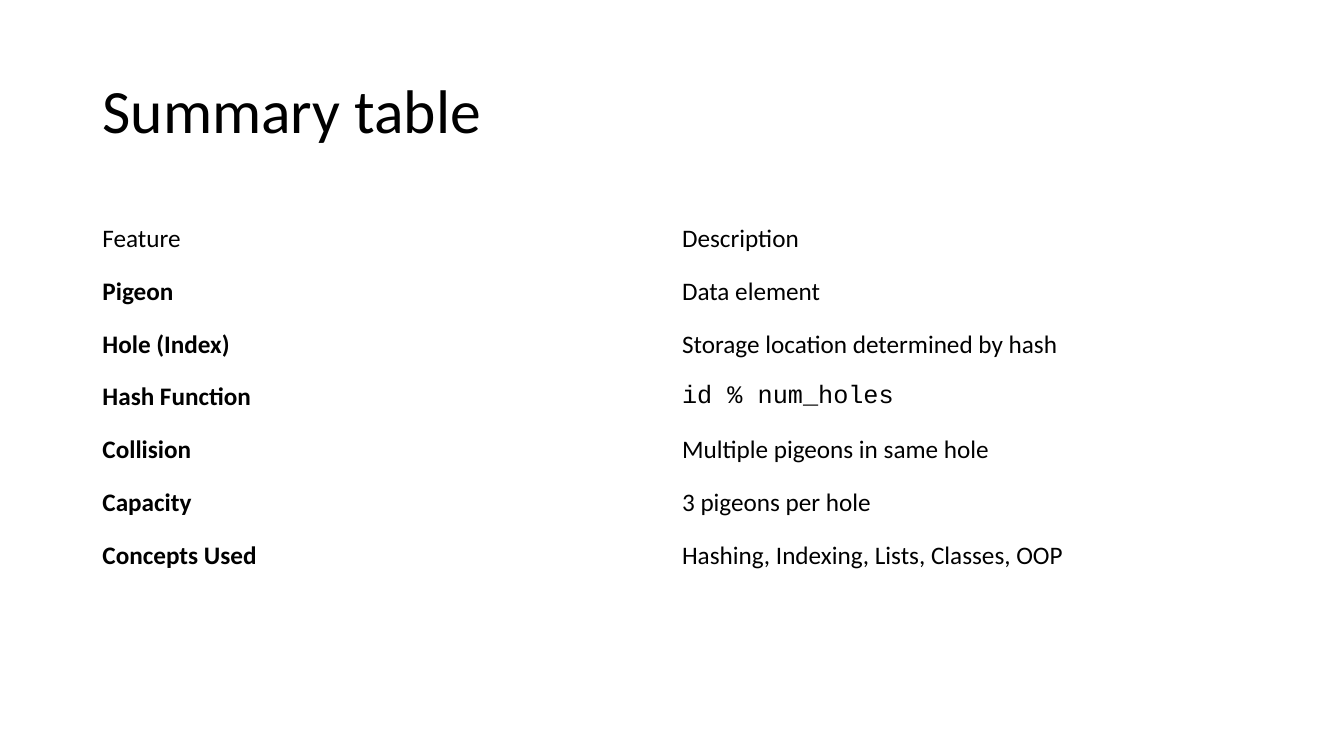
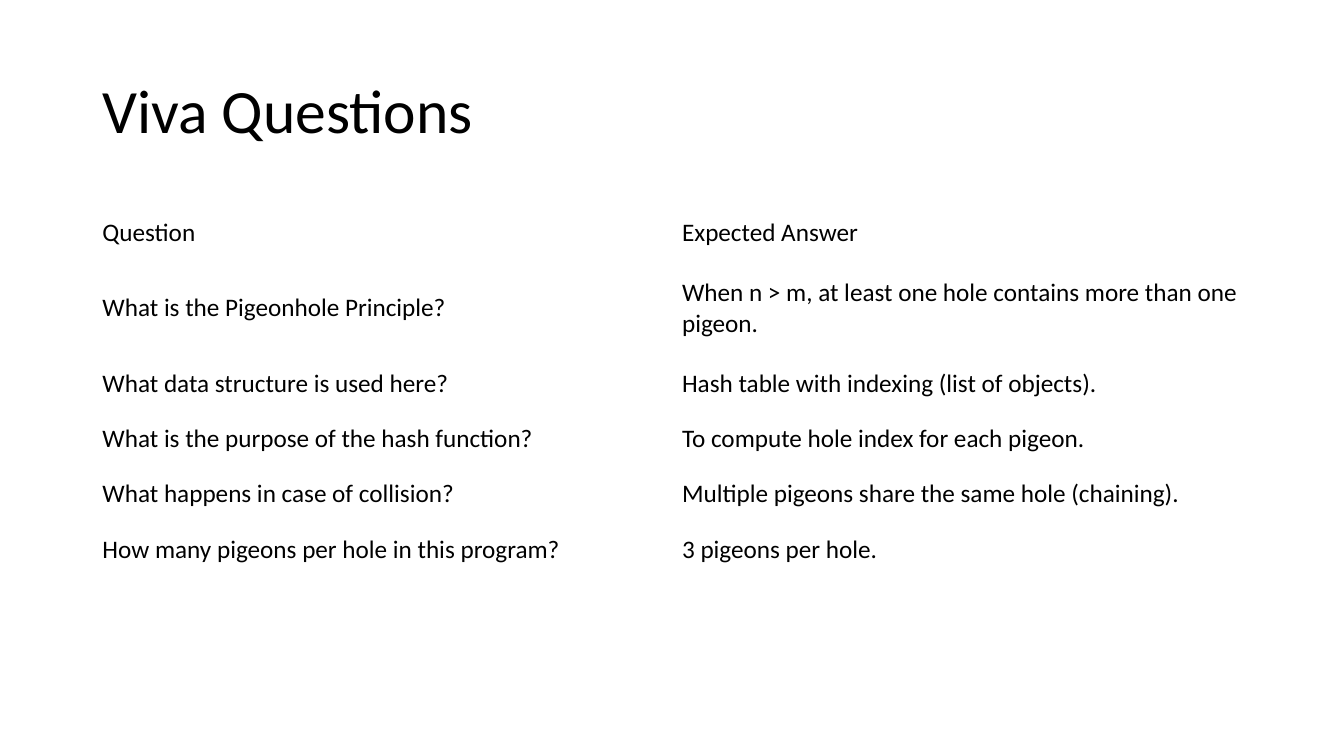
"""Build two slides, each with a title and a plain two-column table."""
from pptx import Presentation
from pptx.dml.color import RGBColor
from pptx.enum.text import MSO_ANCHOR, PP_ALIGN
from pptx.util import Pt

COLORS = {"ink": "000000"}
LEFT, WIDTH = 66, 828

SUMMARY = [
    ("Feature", "Description"),
    ("Pigeon", "Data element"),
    ("Hole (Index)", "Storage location determined by hash"),
    ("Hash Function", "id % num_holes"),
    ("Collision", "Multiple pigeons in same hole"),
    ("Capacity", "3 pigeons per hole"),
    ("Concepts Used", "Hashing, Indexing, Lists, Classes, OOP"),
]
VIVA = [
    ("Question", "Expected Answer"),
    ("What is the Pigeonhole Principle?",
     "When n > m, at least one hole contains more than one pigeon."),
    ("What data structure is used here?",
     "Hash table with indexing (list of objects)."),
    ("What is the purpose of the hash function?",
     "To compute hole index for each pigeon."),
    ("What happens in case of collision?",
     "Multiple pigeons share the same hole (chaining)."),
    ("How many pigeons per hole in this program?", "3 pigeons per hole."),
]


class Deck:
    """Hold the shared style and the current slide."""

    title_font = {"name": "Calibri", "size": Pt(44), "bold": False}
    cell_font = {"name": "Calibri", "size": Pt(18), "bold": False}
    code_font = {**cell_font, "name": "Courier New"}
    key_font = {**cell_font, "bold": True}

    def __init__(self):
        """Start an empty wide deck."""
        self.prs = Presentation()
        self.prs.slide_width, self.prs.slide_height = Pt(960), Pt(540)
        self.slide = None

    def style(self, font, values):
        """Apply format values and the text colour to a font."""
        for name, value in values.items():
            setattr(font, name, value)
        font.color.rgb = RGBColor.from_string(COLORS["ink"])

    def page(self, title):
        """Add a slide with its title."""
        self.slide = self.prs.slides.add_slide(self.prs.slide_layouts[5])
        box = self.slide.shapes.title
        place = {"left": LEFT, "top": 28.8, "width": WIDTH, "height": 104.4}
        for name, value in place.items():
            setattr(box, name, Pt(value))
        frame = box.text_frame
        frame.text = title
        frame.vertical_anchor = MSO_ANCHOR.MIDDLE
        para = frame.paragraphs[0]
        para.alignment = PP_ALIGN.LEFT
        para.line_spacing = 0.9
        self.style(para.runs[0].font, self.title_font)

    def table(self, rows, top, heights, keys=False, code=()):
        """Add an unfilled table with equal columns."""
        count = len(rows[0])
        table = self.slide.shapes.add_table(
            len(rows), count, Pt(LEFT), Pt(top), Pt(WIDTH), Pt(sum(heights))
        ).table
        table.horz_banding = False
        for col in table.columns:
            col.width = Pt(WIDTH / count)
        for r, (texts, height) in enumerate(zip(rows, heights)):
            table.rows[r].height = Pt(height)
            for c, text in enumerate(texts):
                cell = table.cell(r, c)
                cell.fill.background()
                cell.vertical_anchor = MSO_ANCHOR.MIDDLE
                cell.text = text
                values = self.cell_font
                if text in code:
                    values = self.code_font
                elif keys and r and not c:
                    values = self.key_font
                self.style(cell.text_frame.paragraphs[0].runs[0].font, values)


def main():
    """Build and save the deck."""
    deck = Deck()
    deck.page("Summary table")
    deck.table(SUMMARY, 152, [37.65] * len(SUMMARY), True, ("id % num_holes",))
    deck.page("Viva Questions")
    deck.table(VIVA, 146.4, [39.5, 68.4] + [39.5] * (len(VIVA) - 2))
    deck.prs.save("out.pptx")


if __name__ == "__main__":
    main()
